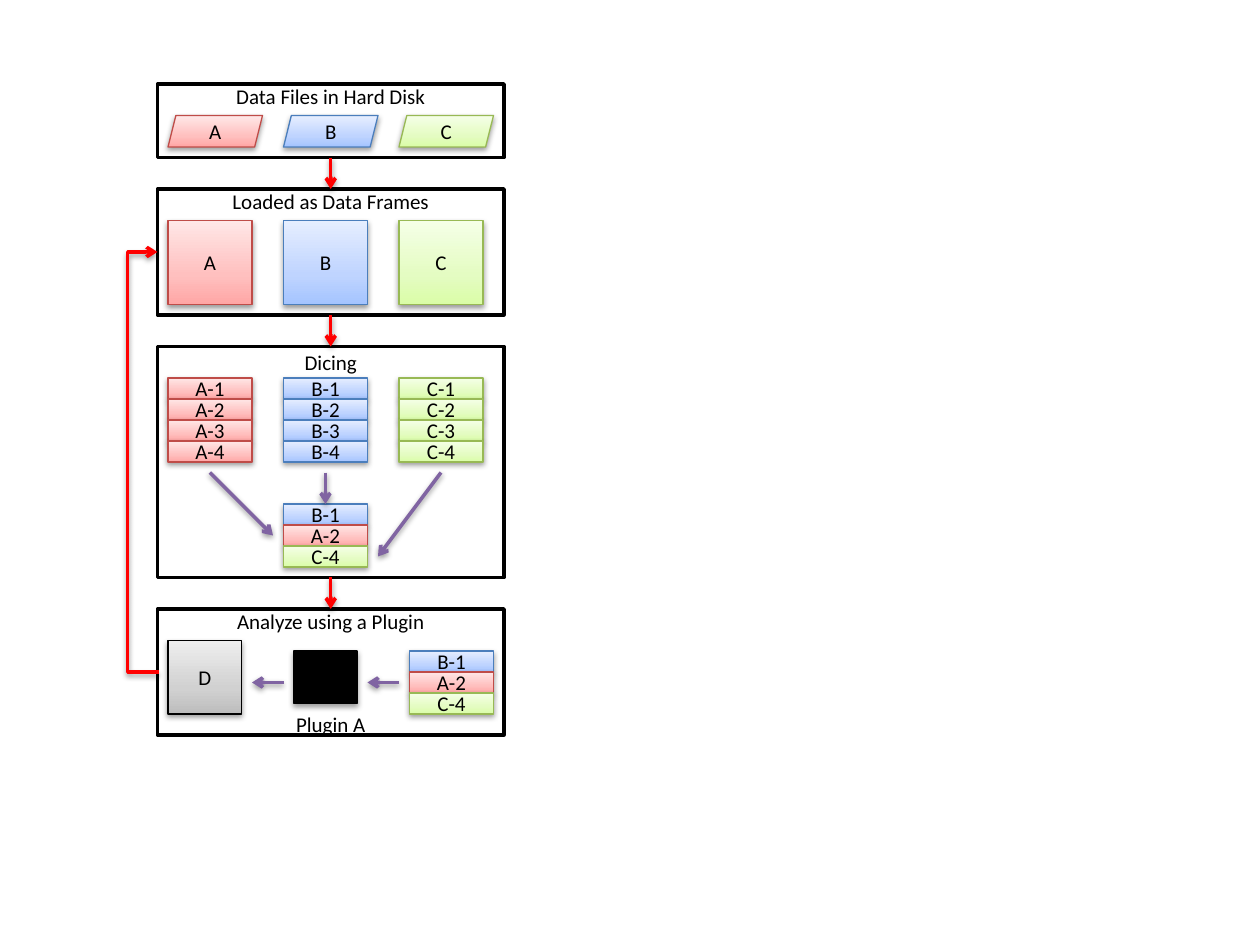
"""Build a slide showing how data files are loaded, diced and analysed."""
from copy import deepcopy

from lxml import etree
from pptx import Presentation
from pptx import util as u
from pptx.dml.color import RGBColor
from pptx.enum import shapes, text
from pptx.oxml import ns

PX = 9525
BLACK = RGBColor(0x00, 0x00, 0x00)
WHITE = RGBColor(0xFF, 0xFF, 0xFF)
RED = RGBColor(0xFF, 0x00, 0x00)
PURPLE = RGBColor(0x80, 0x64, 0xA2)
LINES = {
    "A": RGBColor(0xBF, 0x4C, 0x48),
    "B": RGBColor(0x4B, 0x7E, 0xBC),
    "C": RGBColor(0x98, 0xB9, 0x55),
    "D": BLACK,
}
GRADIENTS = {
    "A": (RGBColor(0xFF, 0xA6, 0xA5), RGBColor(0xFF, 0xC0, 0xBF), RGBColor(0xFF, 0xE7, 0xE7)),
    "B": (RGBColor(0xA4, 0xC4, 0xFF), RGBColor(0xBF, 0xD4, 0xFF), RGBColor(0xE6, 0xEE, 0xFF)),
    "C": (RGBColor(0xDA, 0xFD, 0xA7), RGBColor(0xE4, 0xFC, 0xC2), RGBColor(0xF5, 0xFF, 0xE7)),
    "D": (RGBColor(0xBD, 0xBD, 0xBD), RGBColor(0xD1, 0xD1, 0xD1), RGBColor(0xEE, 0xEE, 0xEE)),
}
STOPS = (0, 0.35, 1)
COLUMNS = {"A": 128, "B": 216, "C": 304}
BLOCK, ROW = 64, 16
SAMPLE = ("B-1", "A-2", "C-4")
RECTANGLE = shapes.MSO_SHAPE.RECTANGLE
PARALLELOGRAM = shapes.MSO_SHAPE.PARALLELOGRAM


def px(*lengths):
    """Turn pixel lengths into EMU."""
    return [u.Emu(length * PX) for length in lengths]


def add_child(parent, tag, **attributes):
    """Append a DrawingML element to a parent."""
    return etree.SubElement(parent, ns.qn(tag), {key: str(value) for key, value in attributes.items()})


def add_shadow(element):
    """Give a shape or connector a soft shadow below it."""
    effects = add_child(element.spPr, "a:effectLst")
    shadow = add_child(effects, "a:outerShdw", blurRad=40000, dist=20000, dir=5400000, rotWithShape=0)
    add_child(add_child(shadow, "a:srgbClr", val=BLACK), "a:alpha", val=38000)


def write(shape, *lines, anchor=text.MSO_ANCHOR.MIDDLE, inset=0, gap=0):
    """Write centred lines into a shape, with a gap in points between them."""
    frame = shape.text_frame
    frame.word_wrap = True
    frame.vertical_anchor = anchor
    frame.margin_left = frame.margin_right = frame.margin_bottom = 0
    frame.margin_top = u.Emu(inset * PX)
    for index, line in enumerate(lines):
        paragraph = frame.add_paragraph() if index else frame.paragraphs[0]
        paragraph.alignment = text.PP_ALIGN.CENTER
        paragraph.space_before = u.Pt(gap if index else 0)
        run = paragraph.add_run()
        run.text = line
        run.font.name = "Calibri"
        run.font.size = u.Pt(12)
        run.font.color.rgb = BLACK


def add_box(slide, left, top, width, height, fill, line_width, kind=RECTANGLE, line=BLACK):
    """Add an outlined shape with a solid fill, or a gradient when given several colours."""
    shape = slide.shapes.add_shape(kind, *px(left, top, width, height))
    if isinstance(fill, RGBColor):
        shape.fill.solid()
        shape.fill.fore_color.rgb = fill
    else:
        shape.fill.gradient()
        shape.fill.gradient_angle = 90
        stop_list = shape._element.xpath(".//a:gsLst")[0]
        stop_list.append(deepcopy(stop_list[0]))
        for stop, position, color in zip(shape.fill.gradient_stops, STOPS, fill):
            stop.position = position
            stop.color.rgb = color
    shape.line.color.rgb = line
    shape.line.width = u.Pt(line_width)
    return shape


def add_panel(slide, top, height, *lines, **text_format):
    """Add one stage of the process with its heading."""
    panel = add_box(slide, 120, top, 264, height, WHITE, 2)
    panel.shadow.inherit = False
    write(panel, *lines, anchor=text.MSO_ANCHOR.TOP, **text_format)
    return panel


def add_data(slide, label, left, top, width, height, kind=RECTANGLE):
    """Add a data item in the colours of the file its label starts with."""
    name = label[0]
    shape = add_box(slide, left, top, width, height, GRADIENTS[name], 0.75, kind, LINES[name])
    add_shadow(shape._element)
    write(shape, label)
    return shape


def add_stack(slide, labels, left, top):
    """Stack row items and return them."""
    return [add_data(slide, label, left, top + row * ROW, BLOCK, ROW) for row, label in enumerate(labels)]


def add_arrow(slide, start=(0, 0), end=(0, 0), color=PURPLE, kind=shapes.MSO_CONNECTOR.STRAIGHT):
    """Add an arrow between two points."""
    arrow = slide.shapes.add_connector(kind, *px(*start, *end))
    arrow.line.color.rgb = color
    arrow.line.width = u.Pt(2)
    add_child(arrow.line._get_or_add_ln(), "a:tailEnd", type="arrow")
    add_shadow(arrow._element)
    return arrow


def add_loop(slide, start, end, reach):
    """Add the elbow arrow that leads back, reaching out to the left."""
    arrow = add_arrow(slide, start, end, RED, shapes.MSO_CONNECTOR.ELBOW)
    guides = arrow._element.spPr.prstGeom.get_or_add_avLst()
    ratio = reach * 100000 // (start[0] - end[0])
    add_child(guides, "a:gd", name="adj1", fmla=f"val {ratio}")


def main():
    """Build the slide and save it."""
    presentation = Presentation()
    presentation.slide_width, presentation.slide_height = px(960, 720)
    slide = presentation.slides.add_slide(presentation.slide_layouts[6])

    panels = [
        add_panel(slide, 64, 56, "Data Files in Hard Disk"),
        add_panel(slide, 144, 96, "Loaded as Data Frames"),
        add_panel(slide, 264, 176, "Dicing", inset=2),
        add_panel(slide, 464, 96, "Analyze using a Plugin", "Plugin A", gap=44),
    ]
    for name, left in COLUMNS.items():
        add_data(slide, name, left, 88, 72, 24, PARALLELOGRAM)
        add_data(slide, name, left, 168, BLOCK, BLOCK)
        add_stack(slide, [f"{name}-{number}" for number in range(1, 5)], left, 288)

    sample = add_stack(slide, SAMPLE, COLUMNS["B"], 384)
    add_arrow(slide, (248, 360), (248, 384)).end_connect(sample[0], 0)
    add_arrow(slide, (336, 360), (288, 424))
    add_arrow(slide, (160, 360), (208, 408))

    add_stack(slide, SAMPLE, 312, 496)
    plugin = add_box(slide, 224, 496, 48, 40, BLACK, 0.75)
    add_shadow(plugin._element)
    add_data(slide, "D", 128, 488, 56, 56)
    for left in (192, 280):
        add_arrow(slide, (left + 24, 520), (left, 520))

    for upper, lower in zip(panels, panels[1:]):
        arrow = add_arrow(slide, color=RED)
        arrow.begin_connect(upper, 2)
        arrow.end_connect(lower, 0)
    add_loop(slide, (121, 512), (120, 192), 24)

    presentation.save("out.pptx")


if __name__ == "__main__":
    main()
